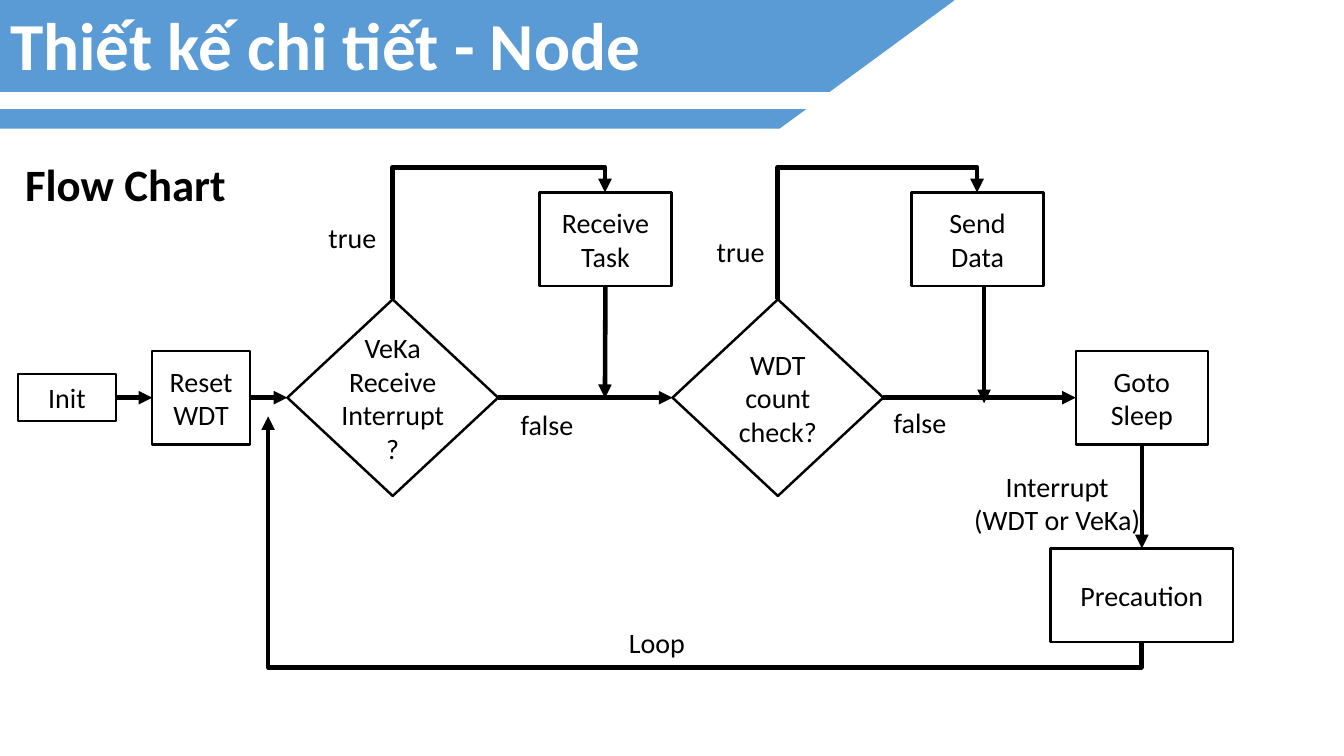
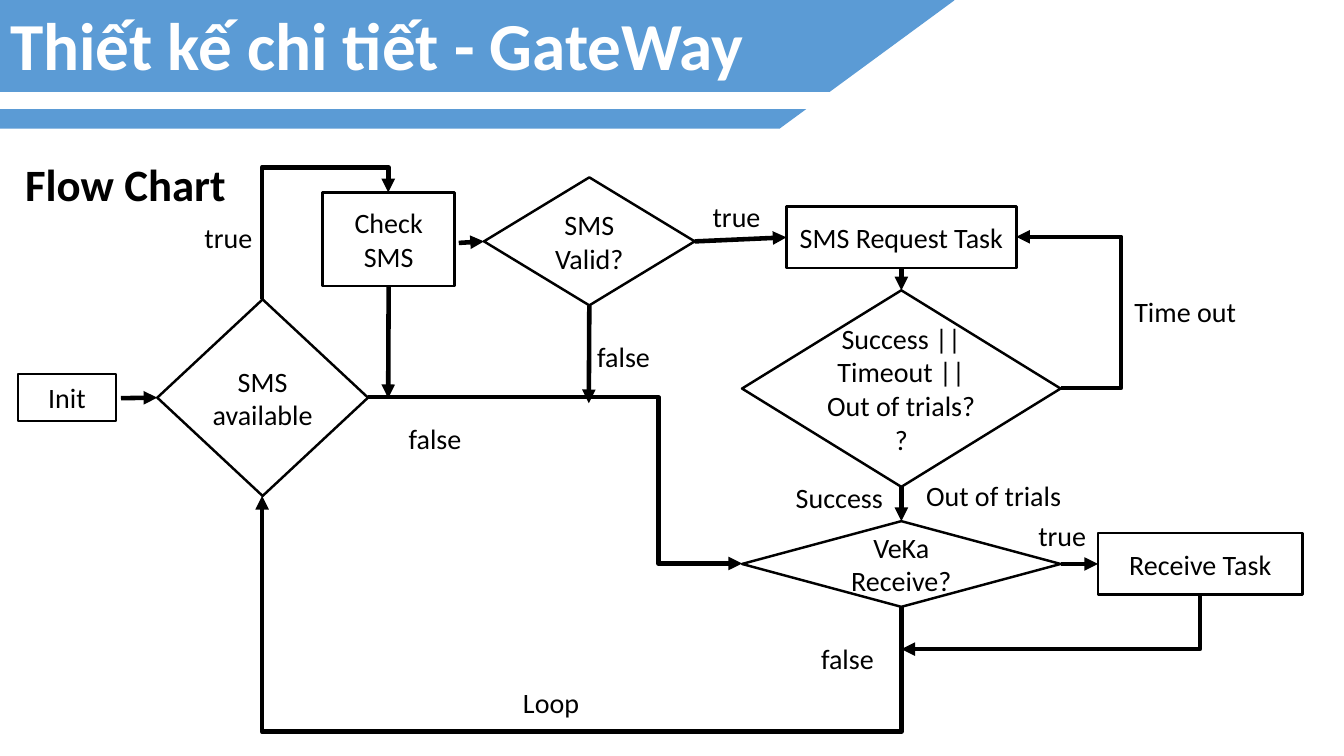
from dataclasses import dataclass
from enum import IntEnum
from typing import NamedTuple

from lxml import etree
from pptx import Presentation
from pptx import util as u
from pptx.dml.color import RGBColor
from pptx.enum import shapes, text
from pptx.oxml.ns import qn

PX = 9144  # EMU in one px, 100 px to the inch
PAGE_WIDTH, PAGE_HEIGHT = 1333, 750
BANNER_HEIGHT = 92
TITLE_ONLY = 5

RECT = shapes.MSO_SHAPE.RECTANGLE
DIAMOND = shapes.MSO_SHAPE.DIAMOND


@dataclass(frozen=True)
class Theme:
    accent: RGBColor = RGBColor(0x5B, 0x9B, 0xD5)
    paper: RGBColor = RGBColor(0xFF, 0xFF, 0xFF)
    ink: RGBColor = RGBColor(0, 0, 0)
    font: str = "Calibri"
    title_size: int = 48
    heading_size: int = 32
    body_size: int = 20
    banner_line: float = 1
    node_line: float = 1.75
    arrow_line: float = 3.25


THEME = Theme()


class Side(IntEnum):
    """Connection sites, numbered as on rectangles and diamonds."""
    TOP = 0
    LEFT = 1
    BOTTOM = 2
    RIGHT = 3


class Point(NamedTuple):
    x: int
    y: int


class Port(NamedTuple):
    node: str
    side: Side


@dataclass(frozen=True)
class Node:
    name: str
    text: str
    left: int
    top: int
    width: int
    height: int
    form: shapes.MSO_SHAPE = RECT

    def site(self, side: Side) -> Point:
        middle, centre = self.left + self.width // 2, self.top + self.height // 2
        return {
            Side.TOP: Point(middle, self.top),
            Side.LEFT: Point(self.left, centre),
            Side.BOTTOM: Point(middle, self.top + self.height),
            Side.RIGHT: Point(self.left + self.width, centre),
        }[side]


@dataclass(frozen=True)
class Arrow:
    """Straight, or an elbow whose middle run lies at bend."""
    start: Port | Point
    end: Port | Point
    bend: int | None = None
    corner: bool = False


@dataclass(frozen=True)
class Label:
    text: str
    left: int
    top: int
    width: int = 291
    height: int = 33


@dataclass(frozen=True)
class Chart:
    title: str
    nodes: list[Node]
    arrows: list[Arrow]
    labels: list[Label]


def px(*lengths: float) -> list[u.Emu]:
    return [u.Emu(round(length * PX)) for length in lengths]


def write(shape, words: str, size: int, color: RGBColor, bold: bool = False,
          align=text.PP_ALIGN.CENTER) -> None:
    frame = shape.text_frame
    frame.text = words
    frame.word_wrap = True
    frame.auto_size = text.MSO_AUTO_SIZE.NONE
    frame.vertical_anchor = text.MSO_ANCHOR.MIDDLE
    for para in frame.paragraphs:
        para.alignment = align
        para.font.name, para.font.size = THEME.font, u.Pt(size)
        para.font.bold, para.font.color.rgb = bold, color


def paint(shape, color: RGBColor) -> None:
    shape.shadow.inherit = False
    shape.fill.solid()
    shape.fill.fore_color.rgb = color
    shape.line.color.rgb = color
    shape.line.width = u.Pt(THEME.banner_line)


def draw_banner(page, title: str) -> None:
    builder = page.shapes.build_freeform(0, 0, scale=PX)
    builder.add_line_segments([(946, 0), (773, 127), (0, 127)], close=True)
    paint(builder.convert_to_shape(), THEME.accent)
    stripe = page.shapes.add_shape(RECT, *px(0, BANNER_HEIGHT, PAGE_WIDTH, 15))
    paint(stripe, THEME.paper)

    box = page.shapes.title
    box.left, box.top, box.width, box.height = px(0, 0, PAGE_WIDTH, BANNER_HEIGHT)
    write(box, title, THEME.title_size, THEME.paper, True, text.PP_ALIGN.LEFT)
    frame = box.text_frame
    (frame.margin_left, frame.margin_top,
     frame.margin_right, frame.margin_bottom) = px(10, 0, 10, 5)
    page.shapes._spTree.append(box._element)  # in front of the banner


def draw_label(page, label: Label, size: int = THEME.body_size, bold: bool = False) -> None:
    box = page.shapes.add_textbox(*px(label.left, label.top, label.width, label.height))
    write(box, label.text, size, THEME.ink, bold)


def draw_node(page, node: Node):
    shape = page.shapes.add_shape(
        node.form, *px(node.left, node.top, node.width, node.height))
    shape.shadow.inherit = False
    shape.fill.background()
    shape.line.color.rgb = THEME.ink
    shape.line.width = u.Pt(THEME.node_line)
    write(shape, node.text, THEME.body_size, THEME.ink)
    if node.form == DIAMOND:
        frame = shape.text_frame
        frame.margin_left = frame.margin_top = frame.margin_right = frame.margin_bottom = 0
    return shape


def route_elbow(connector, arrow: Arrow, start: Point, end: Point) -> None:
    """Set frame, turn and adjustments so that the path leaves the start's side."""
    across, down = end.x - start.x, end.y - start.y
    upright = arrow.start.side in (Side.TOP, Side.BOTTOM)
    run, rise = (down, -across) if upright else (across, down)
    width, height = abs(run), abs(rise)
    connector.left, connector.top, connector.width, connector.height = px(
        (start.x + end.x - width) / 2, (start.y + end.y - height) / 2, width, height)
    connector.rotation = 90 if upright else 0
    frame = connector._element.spPr.find(qn("a:xfrm"))
    frame.flipH, frame.flipV = run < 0, rise < 0

    ratios = []
    if not arrow.corner:
        ratios.append((arrow.bend - (start.y if upright else start.x)) / run)
        if isinstance(arrow.end, Point):
            ratios.append(1)
    geometry = connector._element.spPr.find(qn("a:prstGeom"))
    geometry.set("prst", f"bentConnector{len(ratios) + 2}")
    guides = geometry.find(qn("a:avLst"))
    if guides is None:
        guides = etree.SubElement(geometry, qn("a:avLst"))
    for number, ratio in enumerate(ratios, 1):
        etree.SubElement(guides, qn("a:gd"), name=f"adj{number}",
                         fmla=f"val {round(ratio * 100000)}")


def draw_arrow(page, arrow: Arrow, nodes: dict[str, Node], drawn: dict) -> None:
    start, end = (
        nodes[tip.node].site(tip.side) if isinstance(tip, Port) else tip
        for tip in (arrow.start, arrow.end))
    bent = arrow.corner or arrow.bend is not None
    kind = shapes.MSO_CONNECTOR.ELBOW if bent else shapes.MSO_CONNECTOR.STRAIGHT
    connector = page.shapes.add_connector(kind, *px(*start, *end))
    if isinstance(arrow.start, Port):
        connector.begin_connect(drawn[arrow.start.node], int(arrow.start.side))
    if isinstance(arrow.end, Port):
        connector.end_connect(drawn[arrow.end.node], int(arrow.end.side))
    if bent:
        route_elbow(connector, arrow, start, end)
    connector.line.color.rgb = THEME.ink
    connector.line.width = u.Pt(THEME.arrow_line)
    properties = connector._element.spPr
    etree.SubElement(properties.find(qn("a:ln")), qn("a:tailEnd"), type="triangle")
    etree.SubElement(properties, qn("a:effectLst"))


def draw_chart(deck, chart: Chart) -> None:
    page = deck.slides.add_slide(deck.slide_layouts[TITLE_ONLY])
    draw_banner(page, chart.title)
    draw_label(page, Label("Flow Chart", -5, 145, 259, 74), THEME.heading_size, True)
    nodes = {node.name: node for node in chart.nodes}
    drawn = {node.name: draw_node(page, node) for node in chart.nodes}
    for arrow in chart.arrows:
        draw_arrow(page, arrow, nodes, drawn)
    for label in chart.labels:
        draw_label(page, label)


INIT = Node("init", "Init", 18, 371, 97, 47)

NODE_CHART = Chart(
    "Thiết kế chi tiết - Node",
    [
        INIT,
        Node("reset", "Reset WDT", 151, 348, 97, 93),
        Node("radio", "VeKa Receive Interrupt?", 285, 297, 209, 195, DIAMOND),
        Node("receive", "Receive Task", 535, 191, 131, 93),
        Node("count", "WDT count check?", 667, 297, 209, 195, DIAMOND),
        Node("send", "Send Data", 904, 191, 131, 93),
        Node("sleep", "Goto Sleep", 1067, 348, 131, 93),
        Node("precaution", "Precaution", 1042, 544, 181, 93),
    ],
    [
        Arrow(Port("init", Side.RIGHT), Port("reset", Side.LEFT)),
        Arrow(Port("reset", Side.RIGHT), Port("radio", Side.LEFT)),
        Arrow(Port("radio", Side.RIGHT), Port("count", Side.LEFT)),
        Arrow(Port("receive", Side.BOTTOM), Point(600, 395)),
        Arrow(Port("count", Side.RIGHT), Port("sleep", Side.LEFT)),
        Arrow(Point(976, 284), Point(976, 400)),
        Arrow(Port("sleep", Side.BOTTOM), Port("precaution", Side.TOP)),
        Arrow(Port("precaution", Side.BOTTOM), Point(266, 413), bend=662),
        Arrow(Port("radio", Side.TOP), Port("receive", Side.TOP), bend=166),
        Arrow(Port("count", Side.TOP), Port("send", Side.TOP), bend=166),
    ],
    [
        Label("true", 204, 219),
        Label("false", 397, 404),
        Label("true", 589, 233),
        Label("false", 767, 402),
        Label("Interrupt (WDT or VeKa)", 954, 472, 189, 54),
        Label("Loop", 557, 610, 189, 54),
    ],
)

GATEWAY_CHART = Chart(
    "Thiết kế chi tiết - GateWay",
    [
        INIT,
        Node("available", "SMS available", 156, 297, 209, 195, DIAMOND),
        Node("check", "Check SMS", 320, 191, 131, 93),
        Node("valid", "SMS Valid?", 480, 176, 209, 127, DIAMOND),
        Node("request", "SMS Request Task", 780, 205, 228, 61),
        Node("outcome", "Success || Timeout ||\nOut of trials?\n?", 736, 288, 316, 195, DIAMOND),
        Node("radio", "VeKa Receive?", 736, 517, 316, 85, DIAMOND),
        Node("receive", "Receive Task", 1089, 529, 203, 61),
    ],
    [
        Arrow(Point(120, 395), Port("available", Side.LEFT)),
        Arrow(Port("check", Side.BOTTOM), Point(385, 395)),
        Arrow(Point(455, 241), Port("valid", Side.LEFT)),
        Arrow(Port("valid", Side.RIGHT), Port("request", Side.LEFT)),
        Arrow(Port("valid", Side.BOTTOM), Point(584, 400)),
        Arrow(Port("request", Side.BOTTOM), Port("outcome", Side.TOP)),
        Arrow(Port("outcome", Side.BOTTOM), Port("radio", Side.TOP)),
        Arrow(Port("radio", Side.RIGHT), Port("receive", Side.LEFT)),
        Arrow(Port("available", Side.TOP), Port("check", Side.TOP), bend=166),
        Arrow(Port("outcome", Side.RIGHT), Port("request", Side.RIGHT), bend=1112),
        Arrow(Port("available", Side.RIGHT), Port("radio", Side.LEFT), bend=653),
        Arrow(Port("radio", Side.BOTTOM), Port("available", Side.BOTTOM), bend=726),
        Arrow(Port("receive", Side.BOTTOM), Point(894, 644), corner=True),
    ],
    [
        Label("true", 81, 219),
        Label("true", 585, 198),
        Label("Loop", 452, 670, 189, 54),
        Label("Time out", 1030, 292),
        Label("Success", 687, 477),
        Label("Out of trials", 840, 475),
        Label("false", 337, 408, 189, 54),
        Label("false", 473, 337),
        Label("false", 695, 637),
        Label("true", 908, 515),
    ],
)


def main() -> None:
    deck = Presentation()
    deck.slide_width, deck.slide_height = px(PAGE_WIDTH, PAGE_HEIGHT)
    for chart in (NODE_CHART, GATEWAY_CHART):
        draw_chart(deck, chart)
    deck.save("out.pptx")


if __name__ == "__main__":
    main()
